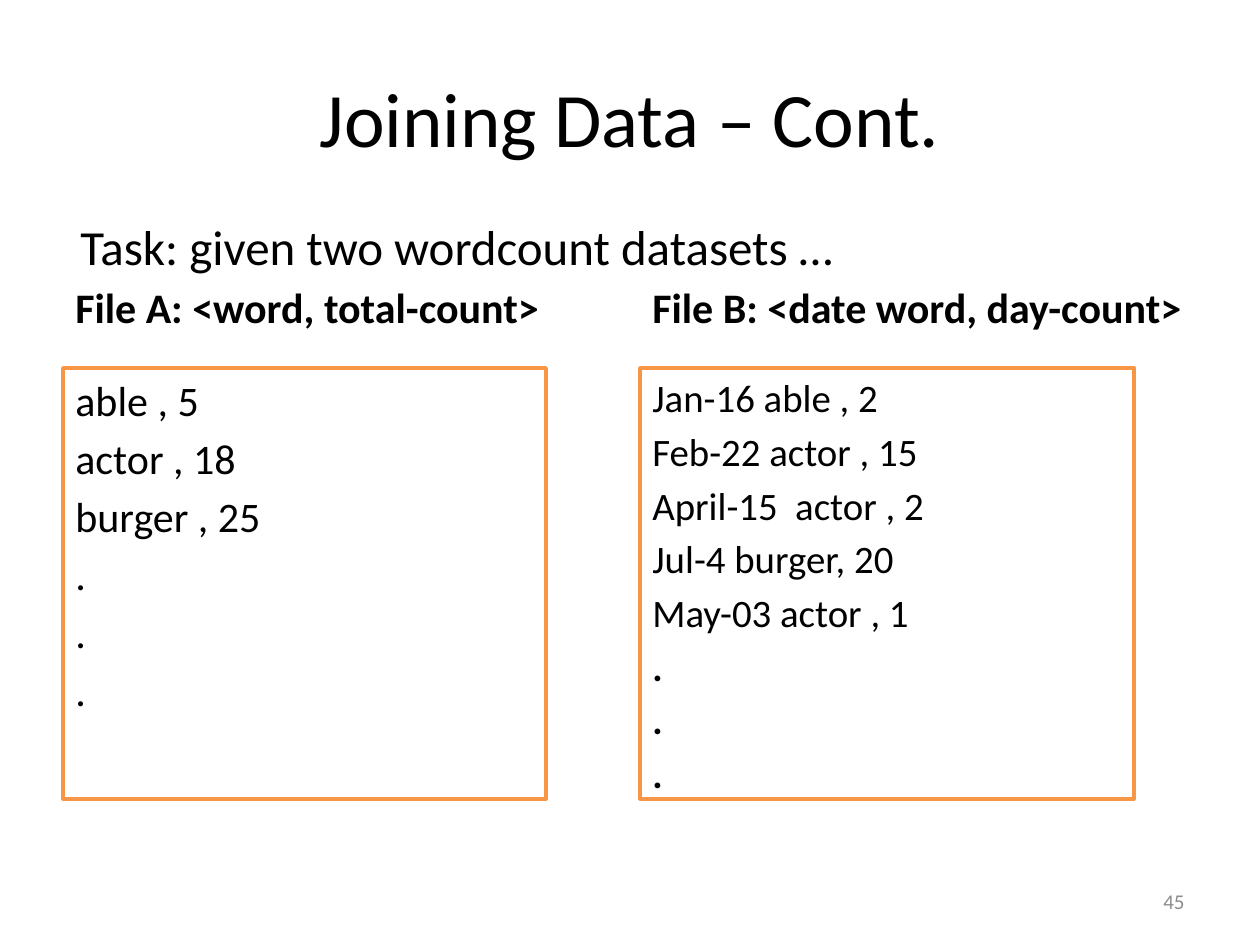
from pptx import Presentation
from pptx import util as u
from pptx.dml.color import RGBColor
from pptx.enum import shapes, text

PX = u.Inches(1) / 126
BLACK = RGBColor(0x00, 0x00, 0x00)
WHITE = RGBColor(0xFF, 0xFF, 0xFF)
ORANGE = RGBColor(0xF7, 0x96, 0x46)
GRAY = RGBColor(0x8C, 0x8C, 0x8C)
MIDDLE = text.MSO_ANCHOR.MIDDLE
BOTTOM = text.MSO_ANCHOR.BOTTOM
TOP = text.MSO_ANCHOR.TOP
DOT = "."


def emu(*lengths):
    return [u.Emu(round(length * PX)) for length in lengths]


def write_lines(shape, lines, size, anchor=TOP, align=text.PP_ALIGN.LEFT,
                color=BLACK, bold=False, gap=0, bold_dots=False):
    frame = shape.text_frame
    frame.word_wrap = True
    frame.vertical_anchor = anchor
    for index, line in enumerate(lines):
        paragraph = frame.paragraphs[0] if index == 0 else frame.add_paragraph()
        paragraph.alignment = align
        if index:
            paragraph.space_before = u.Pt(gap)
        run = paragraph.add_run()
        run.text = line
        font_format = {
            "name": "Calibri",
            "size": u.Pt(size),
            "bold": bold or (bold_dots and line == DOT),
        }
        for name, value in font_format.items():
            setattr(run.font, name, value)
        run.font.color.rgb = color


def add_label(slide, box, line, size, **options):
    label = slide.shapes.add_textbox(*emu(*box))
    write_lines(label, [line], size, **options)


def add_file_panel(slide, box, heading, rows, size, gap, bold_dots=False):
    left, top, width, height = box
    add_label(slide, (left, top, 557, 64), heading, 24, anchor=BOTTOM, bold=True)
    listing = slide.shapes.add_shape(
        shapes.MSO_SHAPE.RECTANGLE, *emu(left, top + 94, width, height - 94))
    listing.shadow.inherit = False
    listing.fill.solid()
    listing.fill.fore_color.rgb = WHITE
    listing.line.color.rgb = ORANGE
    listing.line.width = u.Pt(2)
    write_lines(listing, rows, size, gap=gap, bold_dots=bold_dots)


def build_slide(presentation):
    slide = presentation.slides.add_slide(presentation.slide_layouts[6])
    add_label(slide, (63, 38, 1134, 158), "Joining Data – Cont.", 44,
              anchor=MIDDLE, align=text.PP_ALIGN.CENTER)
    add_file_panel(slide, (63, 274, 483, 525), "File A: <word, total-count>",
                   ["able , 5", "actor , 18", "burger , 25"] + [DOT] * 3, 24, 4.4)
    add_file_panel(slide, (640, 274, 494, 525), "File B: <date word, day-count>",
                   ["Jan-16 able , 2", "Feb-22 actor , 15", "April-15  actor , 2",
                    "Jul-4 burger, 20", "May-03 actor , 1"] + [DOT] * 3,
                   22.2, 4, bold_dots=True)
    add_label(slide, (68, 210, 786, 72), "Task: given two wordcount datasets …", 28)
    add_label(slide, (903, 876, 294, 50), "45", 12, anchor=MIDDLE,
              align=text.PP_ALIGN.RIGHT, color=GRAY)


def main():
    presentation = Presentation()
    presentation.slide_width, presentation.slide_height = emu(1260, 945)
    build_slide(presentation)
    presentation.save("out.pptx")


if __name__ == "__main__":
    main()
